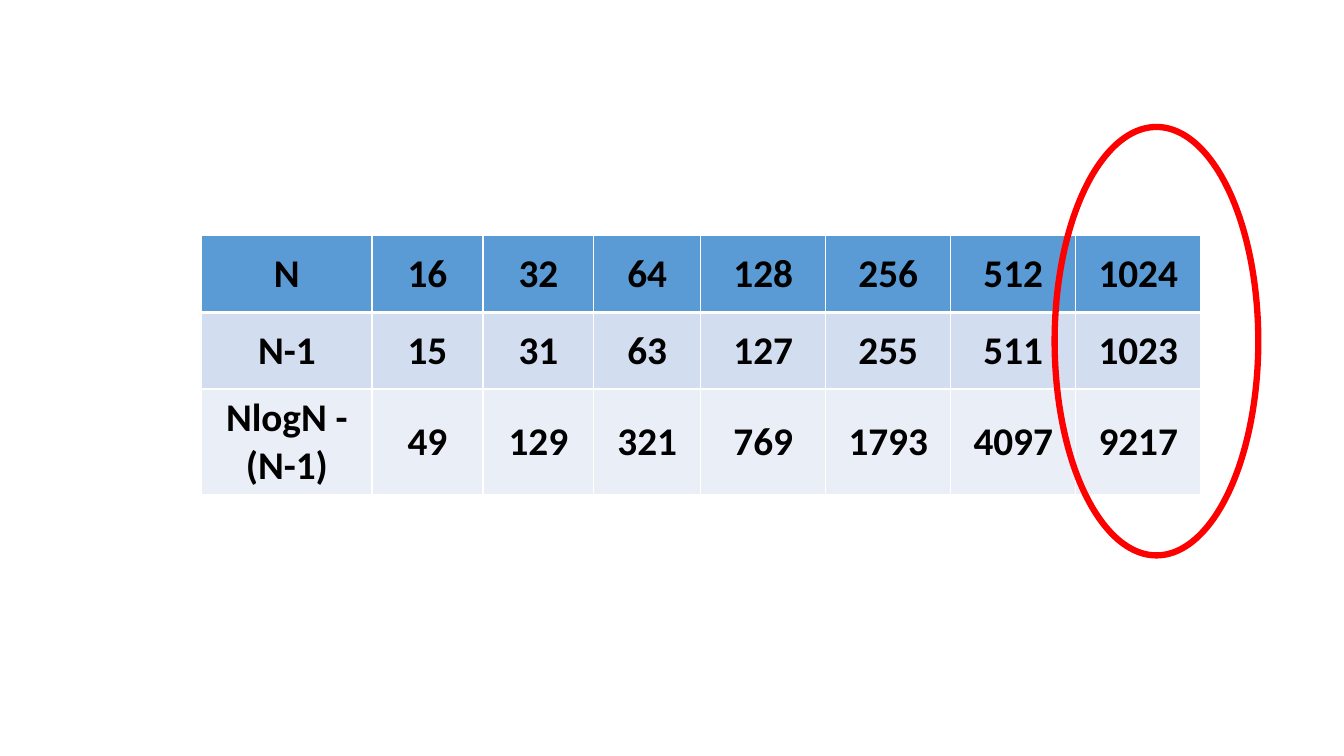
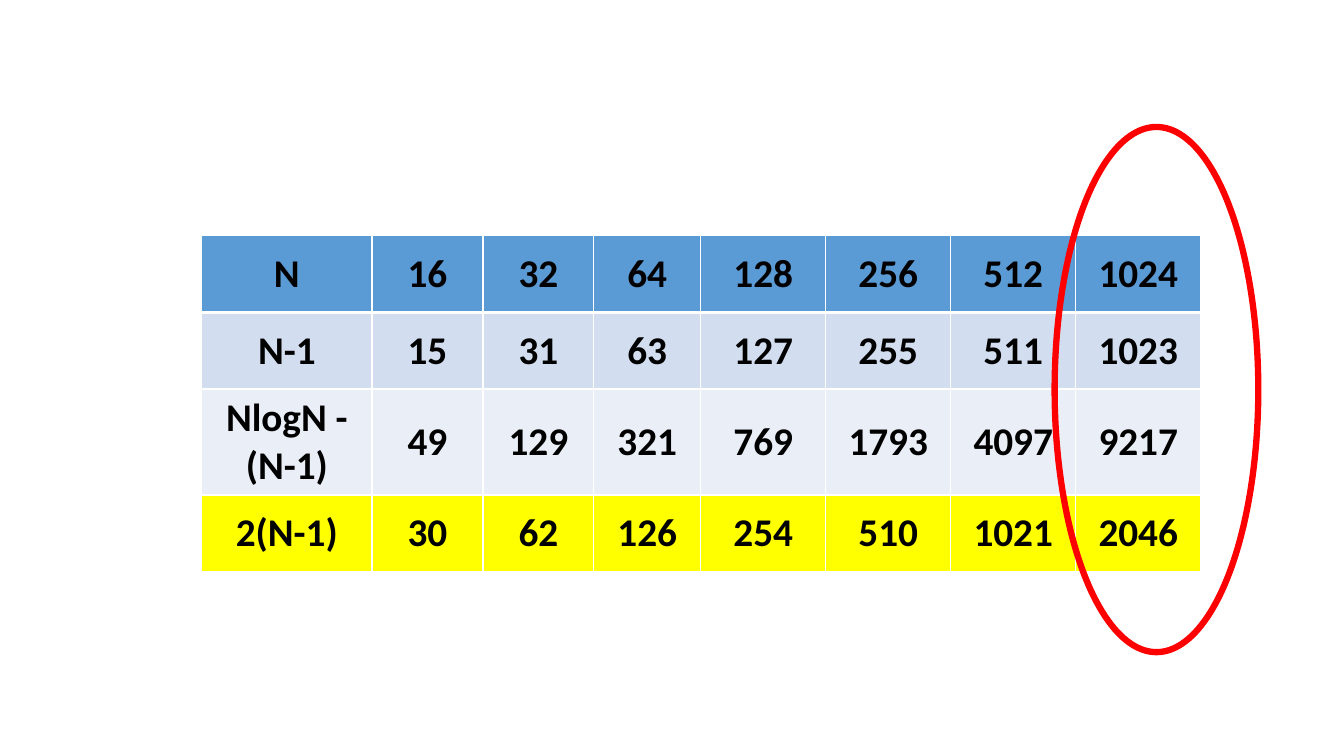
from pptx import Presentation
from pptx.dml.color import RGBColor
from pptx.enum.shapes import MSO_SHAPE as SHAPE
from pptx.enum.text import MSO_ANCHOR as ANCHOR, PP_ALIGN as ALIGN
from pptx.oxml.ns import qn
from pptx.util import Inches, Pt
from lxml.etree import SubElement

BLACK = RGBColor(0x00, 0x00, 0x00)
WHITE = RGBColor(0xFF, 0xFF, 0xFF)
RED = RGBColor(0xFF, 0x00, 0x00)
BLUE = RGBColor(0x5B, 0x9B, 0xD5)
LIGHT_BLUE = RGBColor(0xD2, 0xDE, 0xEF)
PALE_BLUE = RGBColor(0xEA, 0xEF, 0xF7)
YELLOW = RGBColor(0xFF, 0xFF, 0x00)

FONT = "Calibri"
TABLE_LEFT, TABLE_TOP = 2, 2.34
COLS = [1.69, 1.1, 1.1, 1.06] + [1.24] * 4
ROW_H = 0.76
WRAP_H = 0.28
RING_LEFT, RING_TOP, RING_W = 10.46, 1.26, 2.02

ROWS = [
    (BLUE, ["N", 16, 32, 64, 128, 256, 512, 1024]),
    (LIGHT_BLUE, ["N-1", 15, 31, 63, 127, 255, 511, 1023]),
    (PALE_BLUE, ["NlogN -(N-1)", 49, 129, 321, 769, 1793, 4097, 9217]),
    (YELLOW, ["2(N-1)", 30, 62, 126, 254, 510, 1021, 2046]),
]


def set_borders(cell, **widths):
    tc_pr = cell._tc.get_or_add_tcPr()
    for side in "LRTB":
        ln = SubElement(tc_pr, qn(f"a:ln{side}"), w=str(Pt(widths.get(side, 1))))
        fill = SubElement(ln, qn("a:solidFill"))
        SubElement(fill, qn("a:srgbClr"), val=str(WHITE))


def fill_cell(cell, text, color):
    cell.fill.solid()
    cell.fill.fore_color.rgb = color
    cell.vertical_anchor = ANCHOR.MIDDLE
    p = cell.text_frame.paragraphs[0]
    p.alignment = ALIGN.CENTER
    r = p.add_run()
    r.text = str(text)
    r.font.name = FONT
    r.font.size = Pt(28)
    r.font.bold = True
    r.font.color.rgb = BLACK


def add_cost_table(s, left, top, rows):
    height = Inches(len(rows) * ROW_H + WRAP_H)
    frame = s.shapes.add_table(len(rows), len(COLS), Inches(left), Inches(top),
                               Inches(sum(COLS)), height)
    table = frame.table
    for col, width in zip(table.columns, COLS):
        col.width = Inches(width)
    for i, (color, values) in enumerate(rows):
        table.rows[i].height = Inches(ROW_H)
        edges = {0: {"B": 3}, 1: {"T": 3}}.get(i, {})
        for j, value in enumerate(values):
            cell = table.cell(i, j)
            set_borders(cell, **edges)
            fill_cell(cell, value, color)
    frame.height = height


def add_ring(s, left, top, width, height):
    sp = s.shapes.add_shape(SHAPE.OVAL, Inches(left), Inches(top),
                            Inches(width), Inches(height))
    sp.shadow.inherit = False
    sp.fill.background()
    sp.line.color.rgb = RED
    sp.line.width = Pt(4.5)


def add_cost_slide(prs, rows, ring_height):
    s = prs.slides.add_slide(prs.slide_layouts[6])
    add_cost_table(s, TABLE_LEFT, TABLE_TOP, rows)
    add_ring(s, RING_LEFT, RING_TOP, RING_W, ring_height)


prs = Presentation()
prs.slide_width, prs.slide_height = Inches(13.33), Inches(7.5)
add_cost_slide(prs, ROWS[:3], 4.25)
add_cost_slide(prs, ROWS, 5.21)
prs.save("out.pptx")
